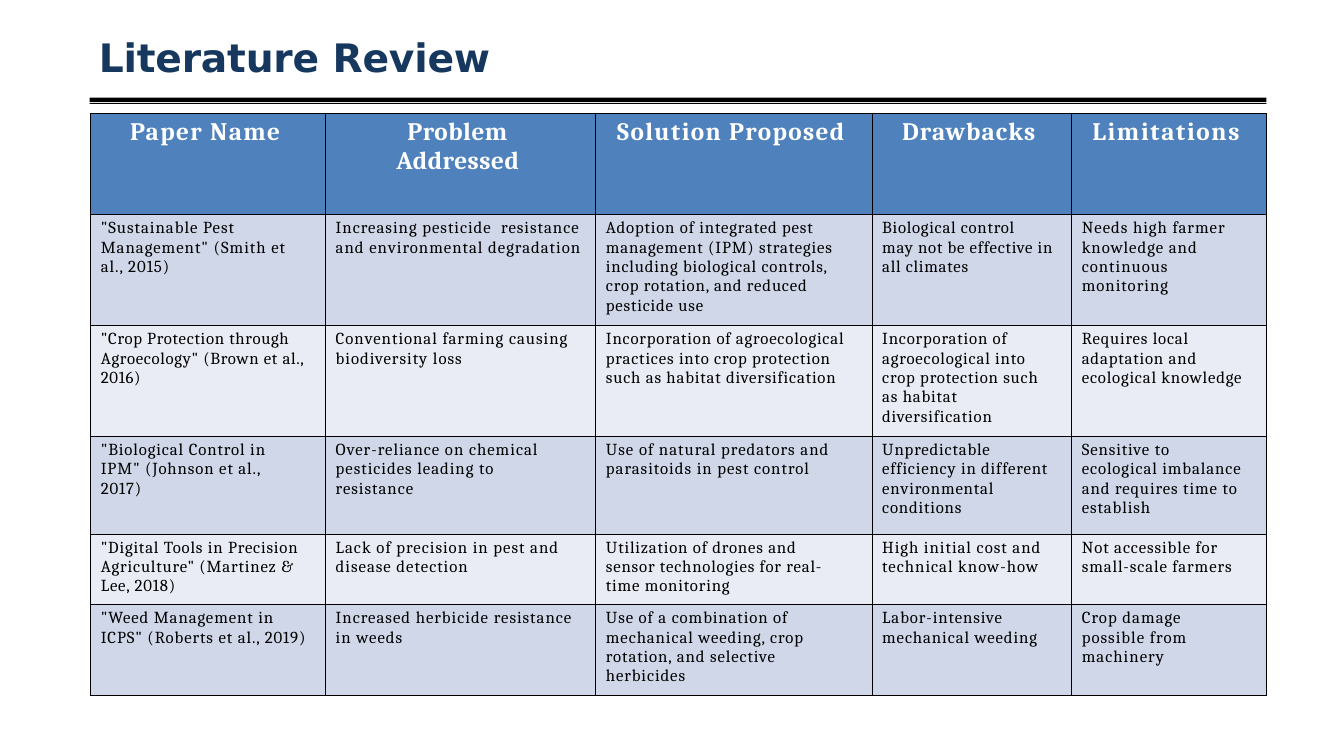
from pptx import Presentation
from pptx.dml.color import RGBColor as Rgb
from pptx.enum.shapes import MSO_SHAPE as Shape
from pptx.enum.text import PP_ALIGN as Align
from pptx.oxml.ns import qn
from pptx.util import Inches, Pt
from lxml.etree import SubElement as Sub

LEFT = 0.9
COLS = [2.33, 2.68, 2.74, 1.98, 1.93]
ROWS = [1, 1.1, 1.1, 0.97, 0.7, 0.9]
BLUE, DARK, LIGHT = "4F81BC", "D0D7E8", "E9ECF4"

# Header cells: text, letter spacing, side margin
HEADS = [
    ("Paper Name", 1, 0),
    ("Problem Addressed", 0.4, 0.3),
    ("Solution Proposed", 1, 0),
    ("Drawbacks", 0.8, 0),
    ("Limitations", 1.2, 0),
]

# Body cells: text, letter spacing, right margin
PAPERS = [
    [
        ('"Sustainable Pest Management" (Smith et al., 2015)', 0.7, 0.3),
        ("Increasing pesticide  resistance and environmental degradation", 0.7, 0.1),
        ("Adoption of integrated pest management (IPM) strategies including "
         "biological controls, crop rotation, and reduced pesticide use", 0.6, 0.2),
        ("Biological control\vmay not be effective in all climates", 0.55, 0.12),
        ("Needs high farmer knowledge and continuous monitoring", 0.7, 0.17),
    ],
    [
        ('"Crop Protection through Agroecology" (Brown et al., 2016)', 0.5, 0.15),
        ("Conventional farming causing biodiversity loss", 0.7, 0.1),
        ("Incorporation of agroecological practices into crop protection "
         "such as habitat diversification", 0.6, 0.2),
        ("Incorporation of agroecological into crop protection such as "
         "habitat diversification", 0.6, 0.15),
        ("Requires local adaptation and ecological knowledge", 0.6, 0.17),
    ],
    [
        ('"Biological Control in IPM" (Johnson et al., 2017)', 0.65, 0.35),
        ("Over-reliance on chemical pesticides leading to resistance", 0.7, 0.4),
        ("Use of natural predators and parasitoids in pest control", 0.7, 0.2),
        ("Unpredictable efficiency in different environmental conditions", 0.6, 0.12),
        ("Sensitive to\vecological imbalance and requires time to establish", 0.65, 0.17),
    ],
    [
        ('"Digital Tools in Precision Agriculture" (Martinez & Lee, 2018)', 0.6, 0.15),
        ("Lack of precision in pest and disease detection", 0.7, 0.1),
        ("Utilization of drones and sensor technologies for real-time monitoring", 0.6, 0.4),
        ("High initial cost and technical know-how", 0.7, 0.12),
        ("Not accessible for small-scale farmers", 0.65, 0.17),
    ],
    [
        ('"Weed Management in ICPS" (Roberts et al., 2019)', 0.65, 0.15),
        ("Increased herbicide resistance in weeds", 0.7, 0.1),
        ("Use of a combination of mechanical weeding, crop rotation, "
         "and selective herbicides", 0.65, 0.4),
        ("Labor-intensive mechanical weeding", 0.65, 0.12),
        ("Crop damage possible from machinery", 0.75, 0.45),
    ],
]


def color(code):
    return Rgb.from_string(code)


def write(frame, text, size=12, font="Cambria", ink="000000", bold=False,
          space=0.0, before=2.8, align=Align.LEFT):
    frame.word_wrap = True
    para = frame.paragraphs[0]
    para.text = text
    para.alignment = align
    para.space_before = Pt(before)
    for run in para.runs:
        run.font.size = Pt(size)
        run.font.name = font
        run.font.bold = bold
        run.font.color.rgb = color(ink)
        run.font._element.set("spc", str(round(space * 100)))


def title(slide, text):
    box = slide.shapes.add_textbox(
        Inches(0.97), Inches(0.32), Inches(6), Inches(0.49))
    frame = box.text_frame
    frame.margin_left = frame.margin_right = frame.margin_bottom = 0
    frame.margin_top = Inches(0.01)
    write(frame, text, size=28, font="DejaVu Sans", ink="16375E",
          bold=True, space=-0.1, before=0.9)
    frame.paragraphs[0]._p.get_or_add_pPr().set("marL", str(Inches(0.01)))


def bar(slide, top, height):
    rule = slide.shapes.add_shape(
        Shape.RECTANGLE, Inches(0.89), Inches(top), Inches(11.67), Inches(height))
    rule.shadow.inherit = False
    rule.fill.solid()
    rule.fill.fore_color.rgb = color("000000")
    rule.line.fill.background()


def border(cell):
    props = cell._tc.get_or_add_tcPr()
    for side in ("lnL", "lnR", "lnT", "lnB"):
        line = Sub(props, qn("a:" + side), w=str(Pt(1)))
        fill = Sub(line, qn("a:solidFill"))
        Sub(fill, qn("a:srgbClr"), val="000000")


def style(cell, fill, left, right):
    border(cell)
    cell.fill.solid()
    cell.fill.fore_color.rgb = color(fill)
    cell.margin_left, cell.margin_right = Inches(left), Inches(right)
    cell.margin_top, cell.margin_bottom = Inches(0.04), 0


def grid(slide):
    table = slide.shapes.add_table(
        len(ROWS), len(COLS), Inches(LEFT), Inches(1.13),
        Inches(sum(COLS)), Inches(sum(ROWS))).table
    for col, width in zip(table.columns, COLS):
        col.width = Inches(width)
    for row, height in zip(table.rows, ROWS):
        row.height = Inches(height)

    # Header row
    for col, (text, space, side) in enumerate(HEADS):
        cell = table.cell(0, col)
        style(cell, BLUE, side, side + 0.06)
        write(cell.text_frame, text, size=18, ink="FFFFFF", bold=True,
              space=space, align=Align.CENTER)

    # One row for each paper, in alternate tints
    for row, paper in enumerate(PAPERS, 1):
        for col, (text, space, right) in enumerate(paper):
            cell = table.cell(row, col)
            style(cell, DARK if row % 2 else LIGHT, 0.1, right)
            write(cell.text_frame, text, space=space)


def main():
    deck = Presentation()
    deck.slide_width, deck.slide_height = Inches(13.33), Inches(7.5)
    slide = deck.slides.add_slide(deck.slide_layouts[6])
    # Double rule under the title
    bar(slide, 0.97, 0.04)
    bar(slide, 1.02, 0.01)
    title(slide, "Literature Review")
    grid(slide)
    deck.save("out.pptx")


if __name__ == "__main__":
    main()
